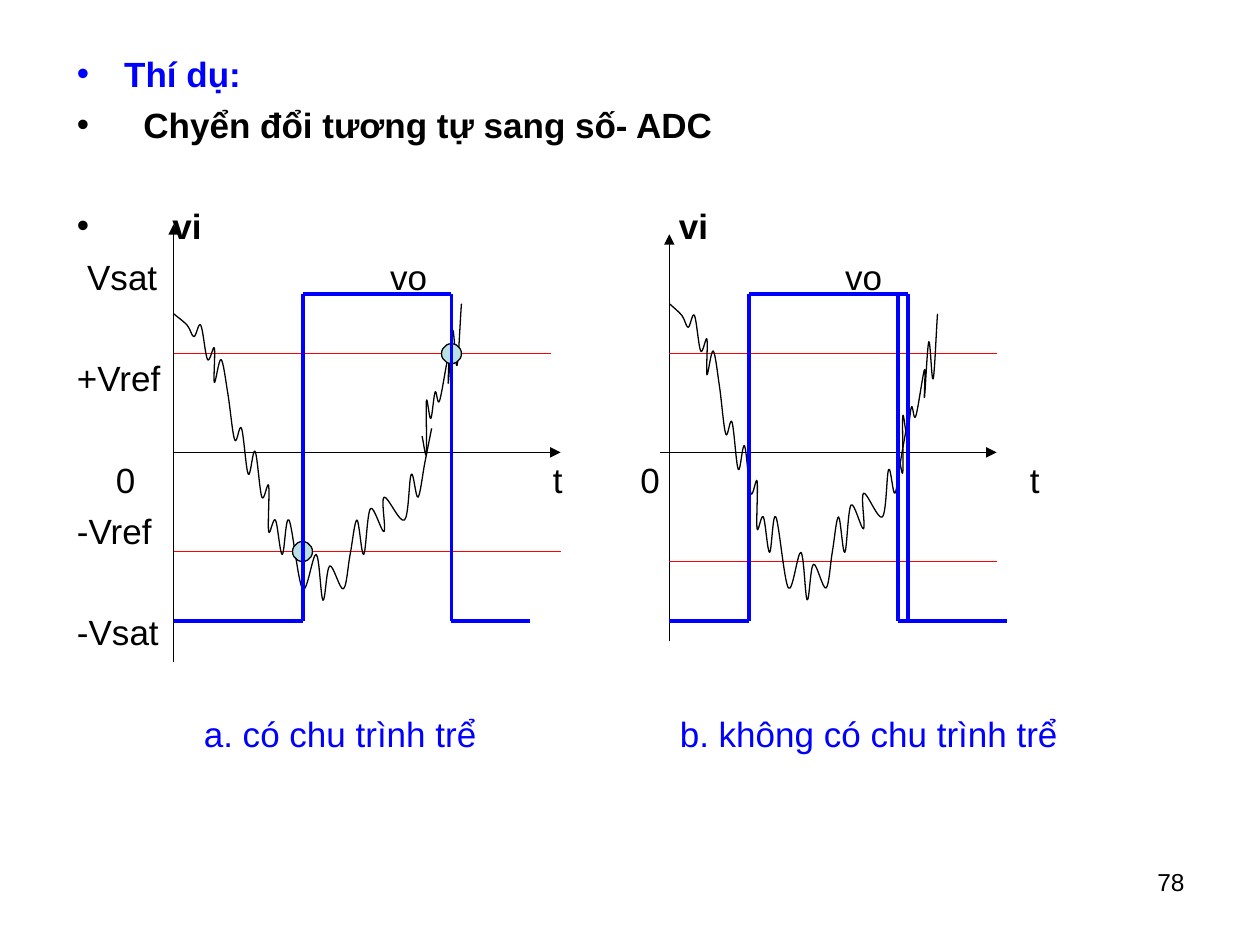
import itertools
from dataclasses import dataclass

import pptx
import pptx.dml.color
import pptx.enum.shapes
import pptx.enum.text
import pptx.oxml
import pptx.oxml.ns
import pptx.util

Pt = pptx.util.Pt
Point = tuple[float, float]


@dataclass(frozen=True)
class Theme:
    font: str = "Arial"
    body: float = 20
    small: float = 14
    thin: float = 0.75
    thick: float = 2.25
    black: str = "000000"
    blue: str = "0000FF"
    red: str = "FF0000"
    dot: str = "BBE0E3"


@dataclass(frozen=True)
class Row:
    text: str
    color: str
    bold: bool = False
    skip: int = 0  # empty lines above
    hang: float = 0  # bullet indent, 0 for no bullet
    tabs: tuple[float, ...] = ()


@dataclass(frozen=True)
class Wave:
    knots: list[Point]
    left: float
    top: float
    wide: float  # size of one grid cell
    high: float


@dataclass(frozen=True)
class Plot:
    axes: list[tuple[Point, Point]]
    refs: list[tuple[Point, Point]]
    waves: list[Wave]
    dots: list[Point]
    pulse: list[list[Point]]


THEME = Theme()
PITCH, GAP = 29, 5
HIGH, LOW, ZERO, REF = 167.8, 355, 258.5, 202.1

# Body rows
ROWS = [
    Row("Thí dụ:", THEME.blue, True, hang=27),
    Row("Chyển đổi tương tự sang số- ADC", THEME.black, True, hang=38),
    Row("vi\tvi", THEME.black, True, 1, 54.5, (344,)),
    Row("\tVsat\tvo\tvo", THEME.black, tabs=(5.8, 179, 439)),
    Row("+Vref", THEME.black, skip=1),
    Row("\t0\tt\t0\tt", THEME.black, skip=1, tabs=(22.2, 272, 322, 544.5)),
    Row("-Vref", THEME.black),
    Row("-Vsat", THEME.black, skip=1),
    Row("\ta. có chu trình trể\tb. không có chu trình trể", THEME.blue,
        skip=1, tabs=(72.5, 344.5)),
]

# Input signal, as knots on a grid
MAIN = list(zip(
    [0, 2, 3, 4, 5, 6, 6, 7, 8, 9, 10, 11, 12, 13, 14, 14, 15, 16, 17, 19, 21, 22,
     23, 25, 26, 27, 28, 29, 31, 31, 34, 35, 36, 37, 38],
    [0, 1, 2, 1, 4, 3, 6, 4, 7, 11, 10, 14, 12, 16, 15, 19, 18, 21, 18, 24, 21, 25,
     22, 24, 21, 18, 21, 17, 19, 16, 18, 14, 16, 13, 10]))
TAIL = list(zip([0, 1, 1, 2, 3, 4, 6, 6, 7, 8, 9],
                [15, 17, 11, 13, 10, 11, 6, 9, 3, 7, 0]))

PLOTS = [
    Plot(axes=[((99.2, ZERO), (320.4, ZERO)), ((99.2, 378), (99.2, 128.2))],
         refs=[((99.2, REF), (314.6, REF)), ((99.2, 315.2), (320.4, 315.2))],
         waves=[Wave(MAIN, 99.2, 179.3, 3.88, 6.55), Wave(TAIL, 241.2, 173.5, 2.5, 5.05)],
         dots=[(172.9, 315.2), (258, REF)],
         pulse=[[(99.2, LOW), (172.9, LOW), (172.9, HIGH), (258, HIGH),
                 (258, LOW), (303.1, LOW)]]),
    Plot(axes=[((377.3, ZERO), (569.5, ZERO)), ((382.5, 366.5), (382.5, 133.9))],
         refs=[((382.5, REF), (569.5, REF)), ((382.5, 320.9), (569.5, 320.9))],
         waves=[Wave(MAIN, 382.5, 173.5, 3.58, 6.77), Wave(TAIL, 513.4, 179.3, 2.48, 5.32)],
         dots=[],
         pulse=[[(382.5, LOW), (428, LOW), (428, HIGH), (518.6, HIGH), (518.6, LOW)],
                [(513.4, HIGH), (513.4, LOW), (575.3, LOW)]]),
]


def rgb(code: str) -> pptx.dml.color.RGBColor:
    return pptx.dml.color.RGBColor.from_string(code)


def add(parent, tag: str, **attrs: str):
    node = pptx.oxml.parse_xml(f'<{tag} {pptx.oxml.ns.nsdecls("a")}/>')
    for key, val in attrs.items():
        node.set(key, val)
    parent.append(node)
    return node


def style(para, size: float, color: str, bold: bool = False) -> None:
    for run in para.runs:
        run.font.name, run.font.size, run.font.bold = THEME.font, Pt(size), bold
        run.font.color.rgb = rgb(color)


def write(slide, rows: list[Row]) -> None:
    frame = slide.shapes.add_textbox(Pt(36.9), Pt(25.9), Pt(648), Pt(458.6)).text_frame
    frame.word_wrap = True
    frame.margin_top = Pt(4)
    for i, row in enumerate(rows):
        para = frame.paragraphs[0] if i == 0 else frame.add_paragraph()
        para.text = row.text
        para.space_before = Pt(GAP + PITCH * row.skip if i else 0)
        props = para._p.get_or_add_pPr()
        if row.hang:
            props.set("marL", str(Pt(row.hang)))
            props.set("indent", str(-Pt(row.hang)))
            add(add(props, "a:buClr"), "a:srgbClr", val=row.color)
            add(props, "a:buFont", typeface=THEME.font)
            add(props, "a:buChar", char="•")
        if row.tabs:
            stops = add(props, "a:tabLst")
            for pos in row.tabs:
                add(stops, "a:tab", pos=str(Pt(pos)), algn="l")
        style(para, THEME.body, row.color, row.bold)


def line(slide, start: Point, end: Point, color: str, width: float,
         arrow: bool = False) -> None:
    link = slide.shapes.add_connector(
        pptx.enum.shapes.MSO_CONNECTOR.STRAIGHT, *map(Pt, start + end))
    link.line.color.rgb = rgb(color)
    link.line.width = Pt(width)
    if arrow:
        add(link.line._get_or_add_ln(), "a:tailEnd", type="triangle")
    add(link._element.spPr, "a:effectLst")


def bend(shape) -> None:
    """Turn the straight segments of an outline into a smooth curve."""
    knots = [(int(pt.get("x")), int(pt.get("y")))
             for pt in shape._element.xpath(".//a:pathLst//a:pt")]
    first = tuple(2 * a - b for a, b in zip(knots[0], knots[1]))
    last = tuple(2 * a - b for a, b in zip(knots[-1], knots[-2]))
    full = [first, *knots, last]
    parts = shape._element.xpath(".//a:lnTo")
    for part, a, b, c, d in zip(parts, full, full[1:], full[2:], full[3:]):
        curve = add(part.getparent(), "a:cubicBezTo")
        leave = [q + (r - p) / 6 for p, q, r in zip(a, b, c)]
        reach = [q - (r - p) / 6 for p, q, r in zip(b, c, d)]
        for x, y in (leave, reach, c):
            add(curve, "a:pt", x=str(round(x)), y=str(round(y)))
        part.getparent().remove(part)


def trace(slide, wave: Wave) -> None:
    points = [(Pt(wave.left + x * wave.wide), Pt(wave.top + y * wave.high))
              for x, y in wave.knots]
    pen = slide.shapes.build_freeform(*points[0])
    pen.add_line_segments(points[1:], close=False)
    shape = pen.convert_to_shape()
    bend(shape)
    shape.shadow.inherit = False
    shape.fill.background()
    shape.line.color.rgb = rgb(THEME.black)
    shape.line.width = Pt(THEME.thin)


def mark(slide, mid: Point, size: float = 11.4) -> None:
    dot = slide.shapes.add_shape(
        pptx.enum.shapes.MSO_SHAPE.OVAL, Pt(mid[0] - size / 2), Pt(mid[1] - size / 2),
        Pt(size), Pt(size))
    dot.shadow.inherit = False
    dot.fill.solid()
    dot.fill.fore_color.rgb = rgb(THEME.dot)
    dot.line.color.rgb = rgb(THEME.black)
    dot.line.width = Pt(THEME.thin)


def draw(slide, plot: Plot) -> None:
    for axis in plot.axes:
        line(slide, *axis, THEME.black, THEME.thin, arrow=True)
    for ref in plot.refs:
        line(slide, *ref, THEME.red, THEME.thin)
    for wave in plot.waves:
        trace(slide, wave)
    for dot in plot.dots:
        mark(slide, dot)
    for route in plot.pulse:
        for start, end in itertools.pairwise(route):
            line(slide, start, end, THEME.blue, THEME.thick)


def main() -> None:
    deck = pptx.Presentation()
    deck.slide_width, deck.slide_height = Pt(720), Pt(540)
    slide = deck.slides.add_slide(deck.slide_layouts[6])

    # Page number
    frame = slide.shapes.add_textbox(Pt(516.2), Pt(491.8), Pt(167.8), Pt(37.4)).text_frame
    frame.word_wrap = True
    para = frame.paragraphs[0]
    para.text = "78"
    para.alignment = pptx.enum.text.PP_ALIGN.RIGHT
    style(para, THEME.small, THEME.black)

    # Text and plots
    write(slide, ROWS)
    for plot in PLOTS:
        draw(slide, plot)
    deck.save("out.pptx")


if __name__ == "__main__":
    main()
